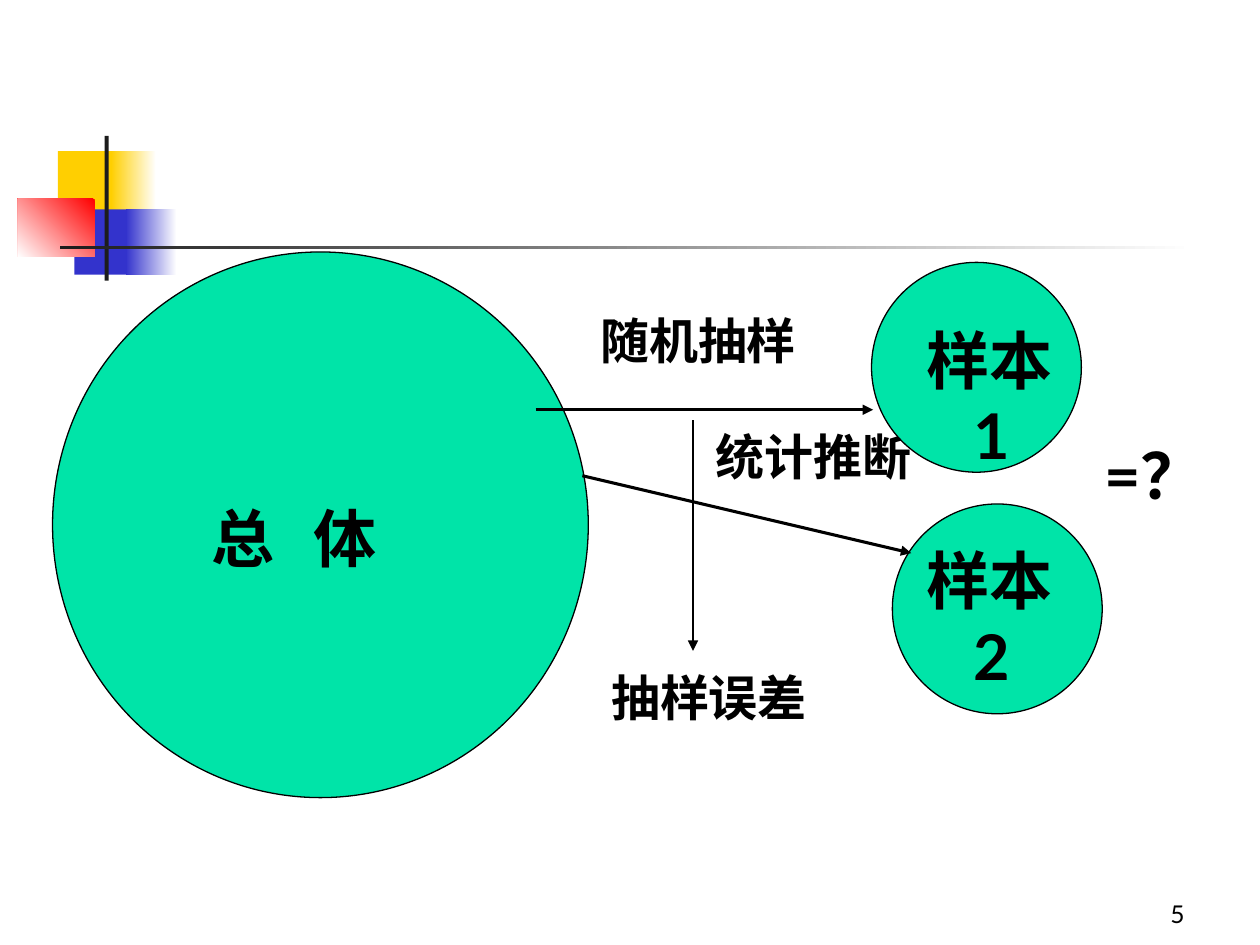
"""Build the slide on population, samples and sampling error."""
from lxml.etree import SubElement
from pptx import Presentation
from pptx.dml.color import RGBColor
from pptx.enum.shapes import MSO_CONNECTOR, MSO_SHAPE
from pptx.enum.text import MSO_ANCHOR, PP_ALIGN
from pptx.oxml.ns import qn
from pptx.util import Cm, Pt


def rgb(value):
    return RGBColor.from_string(value)


def add_run(p, text, size, bold=False):
    r = p.add_run()
    r.text = text
    r.font.name = "Lato"
    r.font.size = Pt(size)
    r.font.bold = bold
    r.font.color.rgb = rgb("000000")
    return r


prs = Presentation()
prs.slide_width, prs.slide_height = Cm(25.4), Cm(19.05)
s = prs.slides.add_slide(prs.slide_layouts[6])

bars = [
    (1.17, 3.05, 1.22, 1.32, ["FFCF01"], 0),
    (2.24, 3.05, 0.91, 1.32, ["FFFFFF", "FFCF01"], 180),
    (1.5, 4.22, 1.17, 1.32, ["3333CC"], 0),
    (2.54, 4.22, 1.02, 1.32, ["FFFFFF", "3333CC"], 180),
    (0.36, 4.01, 1.55, 1.17, ["FF0000", "FFFFFF"], 225),
    (2.11, 2.74, 0.08, 2.92, ["1C1C1C"], 0),
    (1.22, 4.95, 22.86, 0.08, ["FFFFFF", "1C1C1C"], 180),
]
for x, y, w, h, colors, angle in bars:
    sp = s.shapes.add_shape(MSO_SHAPE.RECTANGLE, Cm(x), Cm(y), Cm(w), Cm(h))
    sp.shadow.inherit = False
    sp.line.fill.background()
    if len(colors) == 1:
        sp.fill.solid()
        sp.fill.fore_color.rgb = rgb(colors[0])
    else:
        sp.fill.gradient()
        sp.fill.gradient_angle = angle
        for stop, color, position in zip(sp.fill.gradient_stops, colors, (0, 1)):
            stop.color.rgb = rgb(color)
            stop.position = position

items = [
    ("circle", 1.06, 5.08, 10.8, 11),
    ("text", 4.02, 9.95, 4.87, 36, ["总", " ", "体"]),
    ("arrow", 10.8, 8.26, 17.6, 8.26, 1.75),
    ("circle", 17.99, 10.16, 4.23, 4.23),
    ("text", 18.42, 10.8, 3.39, 36, ["样本2"]),
    ("text", 11.85, 6.14, 4.87, 28, ["随机抽样"]),
    ("text", 14.18, 8.47, 4.87, 28, ["统计推断"]),
    ("arrow", 13.97, 8.47, 13.97, 13.12, 0.75),
    ("text", 12.07, 13.34, 4.87, 28, ["抽样误差"]),
    ("circle", 17.57, 5.29, 4.23, 4.23),
    ("text", 18.42, 6.35, 3.39, 36, ["样本1"]),
    ("arrow", 11.74, 9.59, 18.37, 11.15, 1.75),
    ("text", 22.01, 8.68, 3.39, 36, ["=？"]),
]
for kind, x, y, *rest in items:
    if kind == "circle":
        w, h = rest
        sp = s.shapes.add_shape(MSO_SHAPE.OVAL, Cm(x), Cm(y), Cm(w), Cm(h))
        sp.shadow.inherit = False
        sp.fill.solid()
        sp.fill.fore_color.rgb = rgb("00E4A8")
        sp.line.color.rgb = rgb("000000")
        sp.line.width = Pt(0.75)
    elif kind == "arrow":
        x2, y2, width = rest
        sp = s.shapes.add_connector(MSO_CONNECTOR.STRAIGHT, Cm(x), Cm(y), Cm(x2), Cm(y2))
        sp.line.color.rgb = rgb("000000")
        sp.line.width = Pt(width)
        SubElement(sp.line._get_or_add_ln(), qn("a:tailEnd"), type="triangle")
        SubElement(sp._element.spPr, qn("a:effectLst"))
    else:
        w, size, parts = rest
        tf = s.shapes.add_textbox(Cm(x), Cm(y), Cm(w), Cm(2.12)).text_frame
        tf.word_wrap = True
        p = tf.paragraphs[0]
        p.space_before = Pt(size * 0.625)
        pPr = p._p.get_or_add_pPr()
        pPr.set("marL", str(Cm(0.95)))
        pPr.set("indent", str(-Cm(0.95)))
        for part in parts:
            r = add_run(p, part, size, True)
            if part == " ":
                r._r.get_or_add_rPr().set("spc", "1400")

tf = s.shapes.add_textbox(Cm(18.85), Cm(17.58), Cm(5.28), Cm(1.27)).text_frame
tf.word_wrap = True
tf.vertical_anchor = MSO_ANCHOR.BOTTOM
p = tf.paragraphs[0]
p.alignment = PP_ALIGN.RIGHT
add_run(p, "5", 14)

prs.save("out.pptx")
